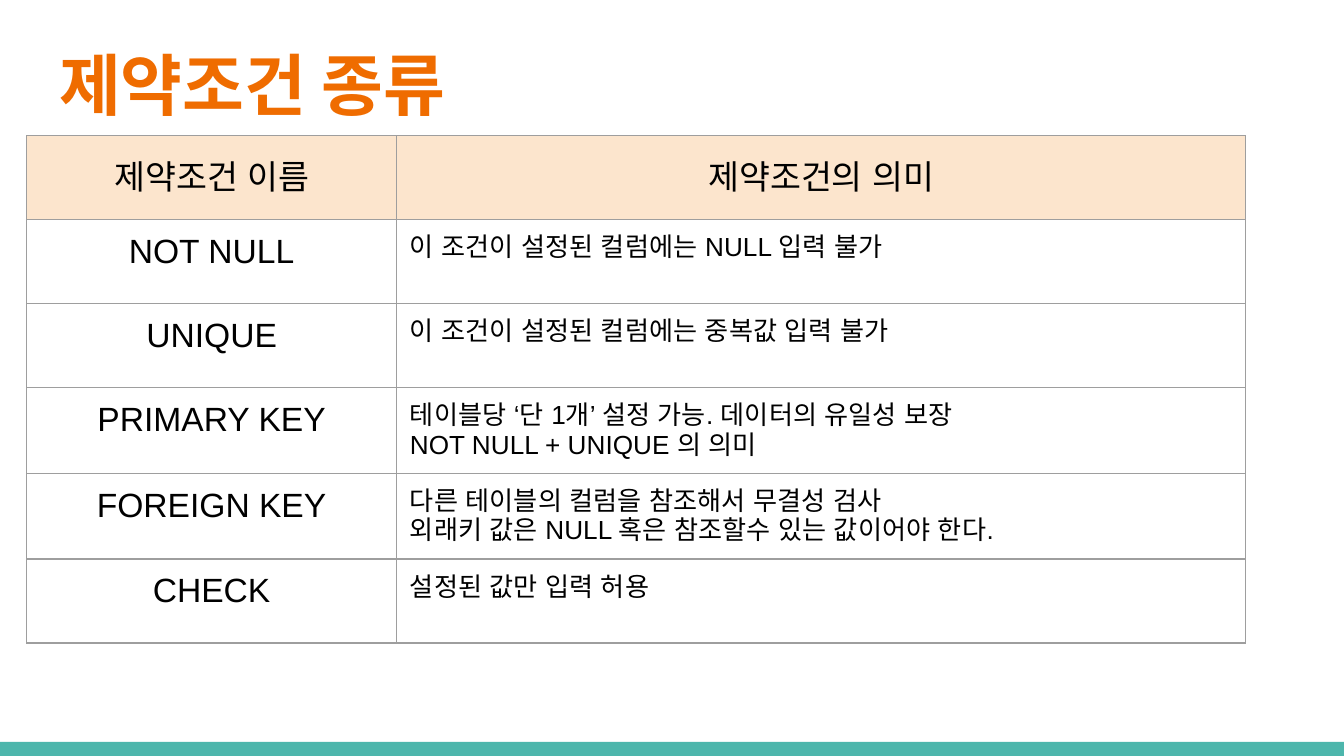
from pptx import Presentation
from pptx.dml.color import RGBColor
from pptx.enum.shapes import MSO_SHAPE
from pptx.enum.text import MSO_ANCHOR, MSO_AUTO_SIZE, PP_ALIGN
from pptx.oxml import parse_xml
from pptx.oxml.ns import nsdecls
from pptx.util import Inches, Pt

ORANGE = RGBColor(0xEF, 0x6C, 0x00)
TEAL = RGBColor(0x4D, 0xB6, 0xAC)
PEACH = RGBColor(0xFC, 0xE5, 0xCD)
BLACK = RGBColor(0, 0, 0)
GRAY = RGBColor(0x9E, 0x9E, 0x9E)
RECT = MSO_SHAPE.RECTANGLE
TOP, MIDDLE = MSO_ANCHOR.TOP, MSO_ANCHOR.MIDDLE
LEFT, CENTER = PP_ALIGN.LEFT, PP_ALIGN.CENTER
FIXED = MSO_AUTO_SIZE.NONE

ROWS = [
    ("제약조건 이름", "제약조건의 의미"),
    ("NOT NULL", "이 조건이 설정된 컬럼에는 NULL 입력 불가"),
    ("UNIQUE", "이 조건이 설정된 컬럼에는 중복값 입력 불가"),
    ("PRIMARY KEY", "테이블당 ‘단 1개’ 설정 가능. 데이터의 유일성 보장\n"
                    "NOT NULL + UNIQUE 의 의미"),
    ("FOREIGN KEY", "다른 테이블의 컬럼을 참조해서 무결성 검사\n"
                    "외래키 값은 NULL 혹은 참조할수 있는 값이어야 한다."),
    ("CHECK", "설정된 값만 입력 허용"),
]


def style(para, name, size, color, bold, align):
    para.alignment = align
    font = para.font
    font.name, font.size, font.bold = name, Pt(size), bold
    font.color.rgb = color
    # Hangul takes its face from the East Asian font
    font._element.append(parse_xml(
        f'<a:ea {nsdecls("a")} typeface="{name}"/>'))


def border(cell):
    props = cell._tc.get_or_add_tcPr()
    for i, side in enumerate(("lnL", "lnR", "lnT", "lnB")):
        props.insert(i, parse_xml(
            f'<a:{side} {nsdecls("a")} w="{Pt(0.75)}"><a:solidFill>'
            f'<a:srgbClr val="{GRAY}"/></a:solidFill></a:{side}>'))


# Widescreen slide, 16:9
prs = Presentation()
prs.slide_width = Inches(10)
prs.slide_height = Inches(10 * 9 / 16)
slide = prs.slides.add_slide(prs.slide_layouts[5])

# Title
title = slide.shapes.title
title.left, title.top = Inches(0.34), Inches(0.24)
title.width, title.height = Inches(9.32), Inches(0.77)
frame = title.text_frame
frame.text = "제약조건 종류"
frame.auto_size = FIXED
frame.vertical_anchor = MIDDLE
frame.margin_left = frame.margin_right = Inches(0.1)
frame.margin_top = frame.margin_bottom = Inches(0.1)
style(frame.paragraphs[0], "Arial Narrow", 36, ORANGE, True, LEFT)

# Bottom bar
bar = slide.shapes.add_shape(RECT, 0, Inches(5.52), Inches(10), Inches(0.11))
bar.shadow.inherit = False
bar.fill.solid()
bar.fill.fore_color.rgb = TEAL
bar.line.fill.background()

# Table of constraints
high = Inches(3.75)
table = slide.shapes.add_table(
    len(ROWS), 2, Inches(0.2), Inches(1.01), Inches(9.07), high).table
table.horz_banding = False
table.columns[0].width = Inches(2.75)
table.columns[1].width = Inches(6.32)
for r, row in enumerate(ROWS):
    table.rows[r].height = high // len(ROWS)
    for c, text in enumerate(row):
        cell = table.cell(r, c)
        cell.text = text
        cell.margin_left = cell.margin_right = Inches(0.1)
        cell.margin_top = cell.margin_bottom = Inches(0.1)
        head = r == 0
        cell.vertical_anchor = MIDDLE if head else TOP
        if head:
            cell.fill.solid()
            cell.fill.fore_color.rgb = PEACH
        else:
            cell.fill.background()
        border(cell)
        large = head or c == 0
        for para in cell.text_frame.paragraphs:
            style(para, "Arial", 18 if large else 14, BLACK, False,
                  CENTER if large else LEFT)

prs.save("out.pptx")
